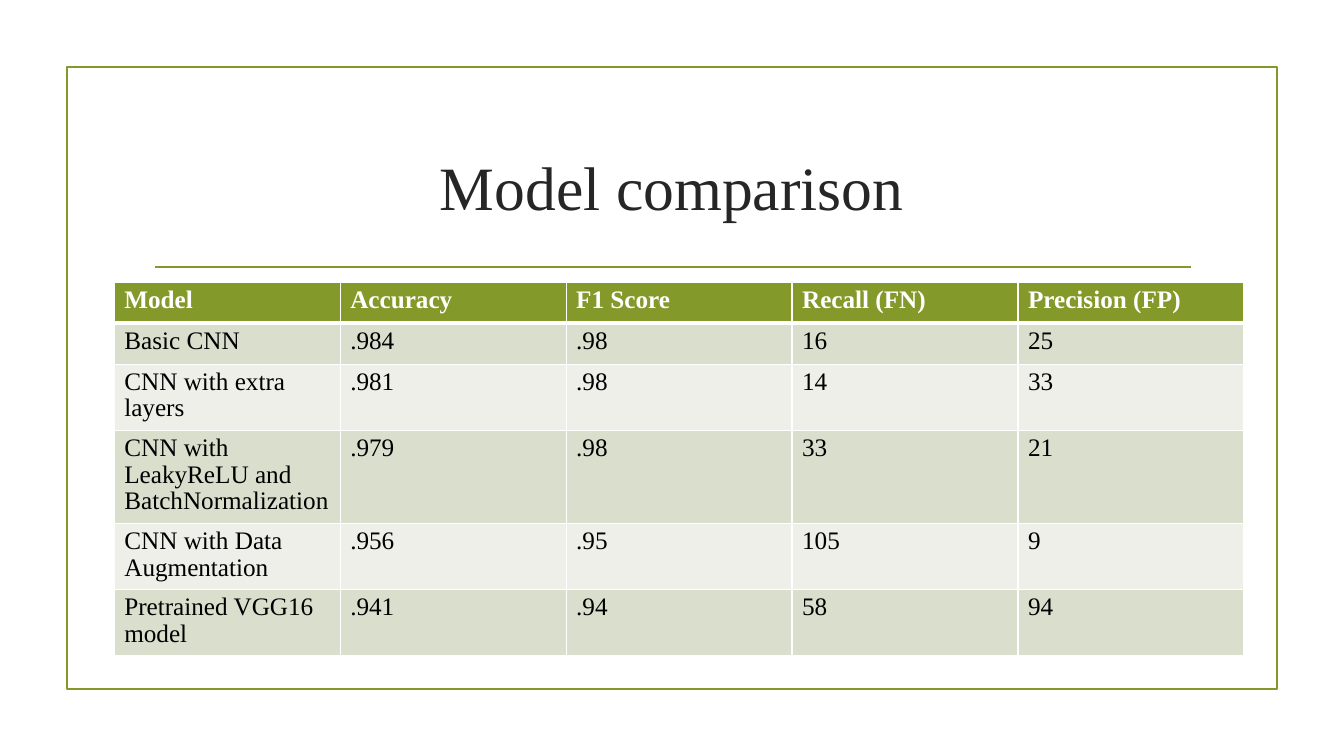
import pptx
import pptx.dml.color
import pptx.enum.shapes
import pptx.enum.text
import pptx.oxml
import pptx.oxml.ns
import pptx.util

COLORS = {
    "green": "83992A",
    "title": "262626",
    "text": "000000",
    "white": "FFFFFF",
    "odd": "D9DECD",
    "even": "EDEFE8",
}
FONT = "Times New Roman"

# The slide is a grid of 160 columns by 90 rows, twelve to the inch
GRID = 12
COLUMNS, ROWS = 160, 90

MODEL_ROWS = [
    ("Model", "Accuracy", "F1 Score", "Recall (FN)", "Precision (FP)"),
    ("Basic CNN", ".984", ".98", "16", "25"),
    ("CNN with extra layers", ".981", ".98", "14", "33"),
    ("CNN with LeakyReLU and BatchNormalization", ".979", ".98", "33", "21"),
    ("CNN with Data Augmentation", ".956", ".95", "105", "9"),
    ("Pretrained VGG16 model", ".941", ".94", "58", "94"),
]
ROW_HEIGHTS = [4.88, 4.88, 7.88, 11.1, 7.88, 7.88]
COLUMN_WIDTH = 26.9


def grid(*units):
    return [pptx.util.Inches(unit / GRID) for unit in units]


def rgb(name):
    return pptx.dml.color.RGBColor.from_string(COLORS[name])


def style_line(line):
    line.color.rgb = rgb("green")
    line.width = pptx.util.Pt(1.25)


def add_run(paragraph, text, size, color, bold=False):
    run = paragraph.add_run()
    run.text = text
    run.font.name = FONT
    run.font.size = pptx.util.Pt(size)
    run.font.bold = bold
    run.font.color.rgb = rgb(color)


def add_frame(slide, left, top, width, height):
    frame = slide.shapes.add_shape(
        pptx.enum.shapes.MSO_SHAPE.RECTANGLE, *grid(left, top, width, height))
    frame.shadow.inherit = False
    frame.fill.background()
    style_line(frame.line)


def add_rule(slide, left, right, top):
    rule = slide.shapes.add_connector(
        pptx.enum.shapes.MSO_CONNECTOR.STRAIGHT, *grid(left, top, right, top))
    style_line(rule.line)
    properties = rule._element.spPr
    properties.append(pptx.oxml.parse_xml(
        f'<a:effectLst {pptx.oxml.ns.nsdecls("a")}/>'))


def set_title(slide, text, left, top, width, height):
    title = slide.shapes.title
    title.left, title.top, title.width, title.height = grid(left, top, width, height)
    frame = title.text_frame
    frame.vertical_anchor = pptx.enum.text.MSO_ANCHOR.MIDDLE
    frame.margin_top = pptx.util.Inches(0.17)
    paragraph = frame.paragraphs[0]
    paragraph.alignment = pptx.enum.text.PP_ALIGN.CENTER
    add_run(paragraph, text, 44, "title")


def set_borders(cell, top, bottom):
    properties = cell._tc.get_or_add_tcPr()
    widths = [("lnL", 1), ("lnR", 1), ("lnT", top), ("lnB", bottom)]
    for position, (side, width) in enumerate(widths):
        border = pptx.oxml.parse_xml(
            f'<a:{side} {pptx.oxml.ns.nsdecls("a")} w="{pptx.util.Pt(width)}">'
            f'<a:solidFill><a:srgbClr val="{COLORS["white"]}"/></a:solidFill>'
            f'</a:{side}>')
        properties.insert(position, border)


def fill_cell(cell, text, row_index):
    header = row_index == 0
    band = "green" if header else ("even", "odd")[row_index % 2]
    cell.fill.solid()
    cell.fill.fore_color.rgb = rgb(band)
    paragraph = cell.text_frame.paragraphs[0]
    paragraph.line_spacing = 0.95
    add_run(paragraph, text, 18, "white" if header else "text", header)
    set_borders(cell, 3 if row_index == 1 else 1, 3 if header else 1)


def add_model_table(slide, left, top):
    column_count = len(MODEL_ROWS[0])
    table = slide.shapes.add_table(
        len(MODEL_ROWS), column_count,
        *grid(left, top, COLUMN_WIDTH * column_count, sum(ROW_HEIGHTS))).table
    for column in table.columns:
        column.width = grid(COLUMN_WIDTH)[0]
    for row_index, (values, height) in enumerate(zip(MODEL_ROWS, ROW_HEIGHTS)):
        table.rows[row_index].height = grid(height)[0]
        for column_index, value in enumerate(values):
            fill_cell(table.cell(row_index, column_index), value, row_index)


def main():
    presentation = pptx.Presentation()
    presentation.slide_width, presentation.slide_height = grid(COLUMNS, ROWS)
    slide = presentation.slides.add_slide(presentation.slide_layouts[5])

    # Frame and rule around the title
    add_frame(slide, 8, 8, 144, 74)
    add_rule(slide, 18.4, 141.75, 31.8)
    set_title(slide, "Model comparison", 17, 12.8, 126, 17.2)

    # Scores of the models
    add_model_table(slide, 13.6, 33.6)

    presentation.save("out.pptx")


if __name__ == "__main__":
    main()
